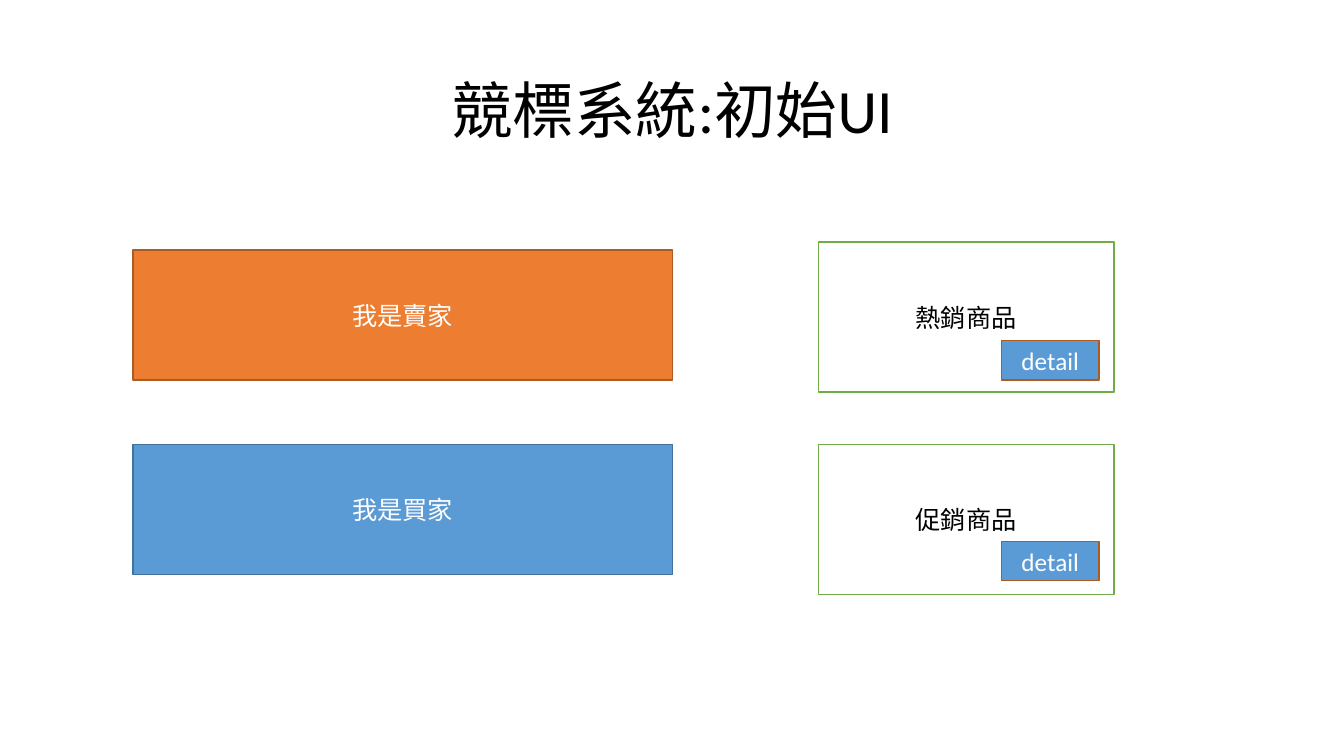
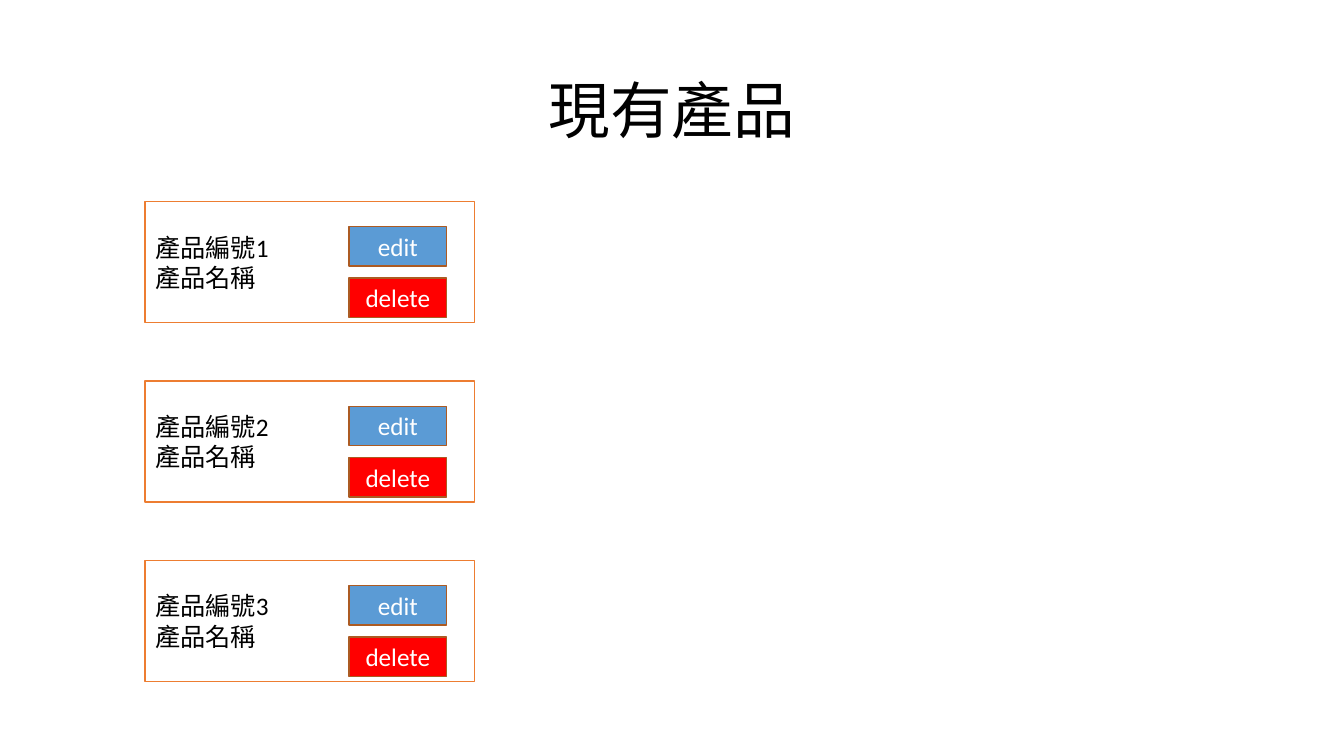
from dataclasses import dataclass

from pptx import Presentation
from pptx.dml.color import RGBColor
from pptx.enum.lang import MSO_LANGUAGE_ID
from pptx.enum.shapes import MSO_SHAPE
from pptx.enum.text import MSO_ANCHOR, PP_ALIGN
from pptx.shapes.base import BaseShape
from pptx.slide import Slide
from pptx.util import Inches, Pt

RECT = MSO_SHAPE.RECTANGLE
MIDDLE = MSO_ANCHOR.MIDDLE
CENTER, LEFT = PP_ALIGN.CENTER, PP_ALIGN.LEFT
ZH_TW = MSO_LANGUAGE_ID.TRADITIONAL_CHINESE

FONT = "Calibri"
COLORS = {
    "white": "FFFFFF",
    "black": "000000",
    "orange": "ED7D31",
    "rust": "AC5B23",
    "blue": "5B9BD5",
    "navy": "42719B",
    "green": "70AD47",
    "red": "FF0000",
}

prs = Presentation()
prs.slide_width, prs.slide_height = Inches(13.33), Inches(7.5)
BLANK = prs.slide_layouts[6]


@dataclass(frozen=True)
class Area:
    """A place on the slide, in percent of its width and height."""
    x: float
    y: float
    w: float
    h: float

    def emu(self) -> tuple[int, int, int, int]:
        """Return left, top, width and height in EMU."""
        across, down = prs.slide_width / 100, prs.slide_height / 100
        return (round(self.x * across), round(self.y * down),
                round(self.w * across), round(self.h * down))


@dataclass(frozen=True)
class Look:
    """Fill, line and text colours of a box, and its text alignment."""
    fill: str
    line: str
    text: str = "white"
    align: PP_ALIGN = CENTER


TITLE = Area(6.9, 5.33, 86.2, 19.33)
BUTTON_W, BUTTON_H = 7.28, 5.2

SELLER = Look("orange", "rust")
BUYER = Look("blue", "navy")
OFFER = Look("white", "green", "black")
PRODUCT = Look("white", "orange", "black", LEFT)
ACTION = Look("blue", "rust")
DANGER = Look("red", "rust")


def rgb(name: str) -> RGBColor:
    """Look up a named colour."""
    return RGBColor.from_string(COLORS[name])


def write(sp: BaseShape, lines: list[str], size: int, color: str,
          align: PP_ALIGN, spacing: float = 1.0) -> None:
    """Write one paragraph per line, centred vertically in the shape."""
    tf = sp.text_frame
    tf.word_wrap = True
    tf.vertical_anchor = MIDDLE
    for i, line in enumerate(lines):
        p = tf.add_paragraph() if i else tf.paragraphs[0]
        p.alignment = align
        p.line_spacing = spacing
        r = p.add_run()
        r.text = line
        r.font.name = FONT
        r.font.size = Pt(size)
        r.font.color.rgb = rgb(color)
        r.font.language_id = ZH_TW


def add_slide(title: str) -> Slide:
    """Add a blank slide with the shared title."""
    s = prs.slides.add_slide(BLANK)
    write(s.shapes.add_textbox(*TITLE.emu()), [title], 44, "black", CENTER, 0.9)
    return s


def add_box(s: Slide, area: Area, look: Look, *lines: str) -> None:
    """Draw an outlined rectangle with its text."""
    sp = s.shapes.add_shape(RECT, *area.emu())
    sp.shadow.inherit = False
    sp.fill.solid()
    sp.fill.fore_color.rgb = rgb(look.fill)
    sp.line.color.rgb = rgb(look.line)
    sp.line.width = Pt(1)
    write(sp, list(lines), 18, look.text, look.align)


def add_button(s: Slide, x: float, y: float, look: Look, label: str) -> None:
    """Draw a button of the shared size."""
    add_box(s, Area(x, y, BUTTON_W, BUTTON_H), look, label)


def start_slide() -> None:
    """Build the start page: two roles and two offers."""
    s = add_slide("競標系統:初始UI")
    for y, look, label in ((33.07, SELLER, "我是賣家"), (58.8, BUYER, "我是買家")):
        add_box(s, Area(9.9, y, 40.13, 17.2), look, label)
    for y, button_y, label in ((32, 45.07, "熱銷商品"), (58.8, 71.6, "促銷商品")):
        add_box(s, Area(60.9, y, 21.98, 19.87), OFFER, label)
        add_button(s, 74.5, button_y, ACTION, "detail")


def product_slide() -> None:
    """Build the product list: three evenly spaced cards."""
    s = add_slide("現有產品")
    top, step, button_x = 26.67, 23.73, 25.96
    for i in range(3):
        y = top + i * step
        add_box(s, Area(10.8, y, 24.53, 16), PRODUCT, f"產品編號{i + 1}", "產品名稱")
        add_button(s, button_x, y + 10.13, DANGER, "delete")
        add_button(s, button_x, y + 3.33, ACTION, "edit")


start_slide()
product_slide()
prs.save("out.pptx")
